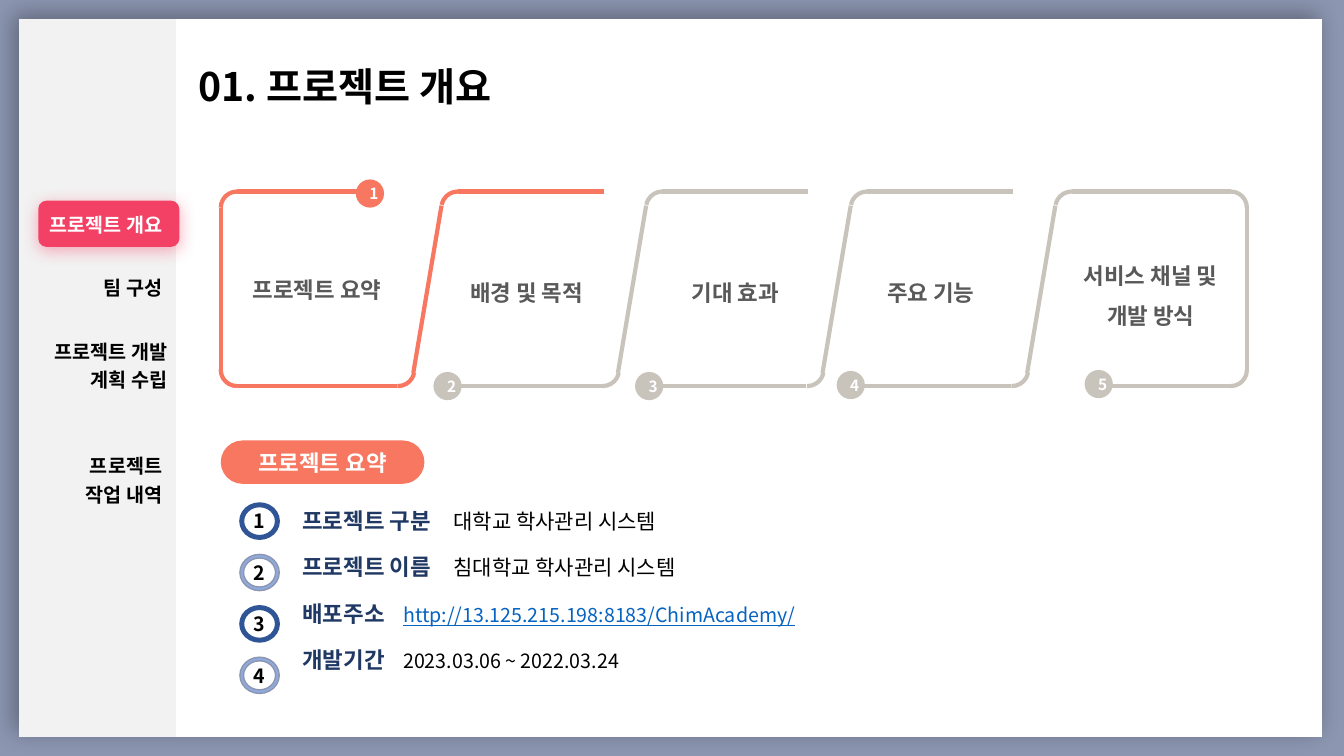
from lxml import etree
from pptx import Presentation
from pptx.dml.color import RGBColor
from pptx.enum.shapes import MSO_CONNECTOR, MSO_SHAPE
from pptx.enum.text import MSO_ANCHOR, MSO_AUTO_SIZE, PP_ALIGN
from pptx.oxml.ns import qn
from pptx.util import Inches, Pt

LEFT, CENTER, RIGHT = PP_ALIGN.LEFT, PP_ALIGN.CENTER, PP_ALIGN.RIGHT
TOP, MIDDLE = MSO_ANCHOR.TOP, MSO_ANCHOR.MIDDLE
FIXED = MSO_AUTO_SIZE.NONE
STRAIGHT = MSO_CONNECTOR.STRAIGHT
RECT, ROUNDED = MSO_SHAPE.RECTANGLE, MSO_SHAPE.ROUNDED_RECTANGLE
OVAL, DONUT, ARC = MSO_SHAPE.OVAL, MSO_SHAPE.DONUT, MSO_SHAPE.ARC

BACKDROP = RGBColor(0x8C, 0x96, 0xB1)
SIDEBAR = RGBColor(0xF2, 0xF2, 0xF2)
WHITE = RGBColor(0xFF, 0xFF, 0xFF)
BLACK = RGBColor(0x00, 0x00, 0x00)
PINK = RGBColor(0xF3, 0x41, 0x65)
CORAL = RGBColor(0xF7, 0x77, 0x60)
STONE = RGBColor(0xC9, 0xC4, 0xBB)
GRAY = RGBColor(0x59, 0x59, 0x59)
NAVY = RGBColor(0x20, 0x38, 0x64)
BLUE = RGBColor(0x2F, 0x55, 0x97)
PALE_BLUE = RGBColor(0x8F, 0xAA, 0xDC)
LINK = RGBColor(0x05, 0x63, 0xC1)

FONT = "Noto Sans CJK KR"
PLAIN_TABLE = "{2D5ABB26-0587-4C30-8999-92F81FD0307C}"
CELL = 0.1
ROUND, SLANTED = (162, 1.2), (168, 1.4)
CORNER = 3.2


def grid(*cells):
    return [Inches(CELL * cell) for cell in cells]


class Deck:
    def __init__(self, columns, rows):
        self.prs = Presentation()
        self.prs.slide_width, self.prs.slide_height = grid(columns, rows)
        self.slide = self.prs.slides.add_slide(self.prs.slide_layouts[1])
        self.slide.background.fill.solid()
        self.slide.background.fill.fore_color.rgb = BACKDROP

    def run(self, paragraph, text, size, color, bold=True, underline=None):
        run = paragraph.add_run()
        run.text = text
        font = run.font
        font.name, font.size, font.bold = FONT, Pt(size), bold
        font.underline = underline
        font.color.rgb = color
        etree.SubElement(run._r.rPr, qn("a:ea")).set("typeface", FONT)

    def add_lines(self, frame, lines, size, color, align=CENTER, spacing=None):
        for index, line in enumerate(lines):
            paragraph = frame.add_paragraph() if index else frame.paragraphs[0]
            paragraph.alignment = align
            paragraph.line_spacing = spacing
            self.run(paragraph, line, size, color)

    def place(self, holder, area, anchor):
        holder.left, holder.top, holder.width, holder.height = grid(*area)
        frame = holder.text_frame
        frame.auto_size, frame.word_wrap = FIXED, True
        frame.vertical_anchor = anchor
        return frame

    def title(self, text, area):
        frame = self.place(self.slide.shapes.title, area, MIDDLE)
        self.add_lines(frame, [text], 28, BLACK, LEFT)

    def details(self, entries, area):
        frame = self.place(self.slide.placeholders[1], area, TOP)
        for index, (label, stop, value, size, color, underline) in enumerate(entries):
            paragraph = frame.add_paragraph() if index else frame.paragraphs[0]
            paragraph.space_before, paragraph.space_after = Pt(0), Pt(14)
            self.run(paragraph, label + "\t", 16, NAVY)
            self.run(paragraph, value, size, color, False, underline)
            props = paragraph._p.get_or_add_pPr()
            props.set("marL", "0")
            props.set("indent", "0")
            etree.SubElement(props, qn("a:buNone"))
            tabs = etree.SubElement(props, qn("a:tabLst"))
            etree.SubElement(tabs, qn("a:tab"), pos=str(grid(stop)[0]), algn="l")

    def caption(self, lines, area):
        box = self.slide.shapes.add_textbox(*grid(*area))
        box.text_frame.word_wrap = True
        self.add_lines(box.text_frame, lines, 16, GRAY, spacing=1.5)

    def shape(self, kind, area, fill=None, line=None, weight=1, adjust=()):
        shape = self.slide.shapes.add_shape(kind, *grid(*area))
        shape.shadow.inherit = False
        for index, value in enumerate(adjust):
            shape.adjustments[index] = value
        if fill is None:
            shape.fill.background()
        else:
            shape.fill.solid()
            shape.fill.fore_color.rgb = fill
        if line is None:
            shape.line.fill.background()
        else:
            shape.line.color.rgb = line
            shape.line.width = Pt(weight)
        return shape

    def label(self, shape, text, size, color, shift=0):
        frame = shape.text_frame
        frame.word_wrap = False
        frame.margin_right = frame.margin_top = frame.margin_bottom = 0
        frame.margin_left = grid(shift)[0]
        frame.vertical_anchor = MIDDLE
        self.add_lines(frame, [text], size, color)

    def shadow(self, shape, color, alpha, blur, distance, angle):
        effects = shape.element.spPr.find(qn("a:effectLst"))
        outer = etree.SubElement(
            effects, qn("a:outerShdw"), blurRad=str(Pt(blur)),
            dist=str(Pt(distance)), dir=str(angle * 60000), rotWithShape="0")
        tint = etree.SubElement(outer, qn("a:srgbClr"), val=str(color))
        etree.SubElement(tint, qn("a:alpha"), val=str(alpha * 1000))

    def page(self, area):
        page = self.shape(RECT, area, WHITE)
        page.fill.gradient()
        page.fill.gradient_angle = 0
        for stop, color in zip(page.fill.gradient_stops, (SIDEBAR, WHITE)):
            stop.color.rgb, stop.position = color, 0.12
        self.shadow(page, BLACK, 31, 17, 5, 225)
        page.element.getparent().insert(2, page.element)

    def line(self, x1, y1, x2, y2, color):
        line = self.slide.shapes.add_connector(STRAIGHT, *grid(x1, y1, x2, y2))
        line.line.color.rgb, line.line.width = color, Pt(3)
        etree.SubElement(line._element.spPr, qn("a:effectLst"))

    def corner(self, x, y, rotation, color, sweep):
        arc = self.shape(ARC, (x, y, CORNER, CORNER), None, color, 3, sweep)
        arc.rotation = rotation

    def menu(self, area, heights, entries):
        menu = self.slide.shapes.add_table(len(heights), 1, *grid(*area)).table
        menu.first_row = menu.horz_banding = False
        menu._tbl.tblPr.find(qn("a:tableStyleId")).text = PLAIN_TABLE
        for index, height in enumerate(heights):
            menu.rows[index].height = grid(height)[0]
            cell = menu.cell(index, 0)
            cell.fill.background()
            cell.vertical_anchor = MIDDLE
            if index in entries:
                lines, color, align, margin = entries[index]
                cell.margin_right = grid(margin)[0]
                self.add_lines(cell.text_frame, lines, 14, color, align)


def main():
    deck = Deck(133.33, 75)
    deck.page((1.9, 1.9, 129.3, 71.2))
    deck.title("01. 프로젝트 개요", (18.7, 5.7, 83.5, 5.7))

    current = deck.shape(ROUNDED, (3.8, 19.9, 14, 4.6), PINK, adjust=[0.18])
    deck.shadow(current, PINK, 41, 12, 3, 90)
    deck.menu((3.3, 14.4, 14.4, 61.1), [4.7, 6.2, 6.3, 9.2, 13.6] + [5.27] * 4, {
        1: (["프로젝트 개요"], WHITE, CENTER, 1),
        2: (["팀 구성"], BLACK, RIGHT, 1.6),
        3: (["프로젝트 개발 계획 수립"], BLACK, RIGHT, 1.1),
        4: (["프로젝트", "작업 내역"], BLACK, RIGHT, 1.6),
    })

    left, right, top, bottom, pitch = 21.9, 123.7, 19, 38.3, 20.3
    half, low = CORNER / 2, bottom - CORNER
    deck.corner(left, top, 270, CORAL, ROUND)
    deck.line(left + half, top, 36.1, top, CORAL)
    deck.line(left, top + half, left, bottom - half, CORAL)
    deck.corner(left, low, 180, CORAL, ROUND)
    for step, color in enumerate((CORAL, STONE, STONE, STONE)):
        start = left + step * pitch
        following = start + pitch + 1.6
        deck.line(start + half, bottom, start + 17.5, bottom, color)
        deck.corner(start + 16, low, 90, color, SLANTED)
        deck.line(start + 19.1, bottom - 1.3, following, top + 1.4, color)
        deck.corner(following, top, 270, color, SLANTED)
        end = following + 16.1 if step < 3 else right - half
        deck.line(following + half, top, end, top, color)
    deck.corner(right - CORNER, top, 0, STONE, ROUND)
    deck.line(right, top + half, right, bottom - half, STONE)
    deck.corner(right - CORNER, low, 90, STONE, ROUND)
    deck.line(109.5, bottom, right - half, bottom, STONE)

    steps = [
        (["프로젝트 요약"], 22.5, 25.6, 35.3, 17.8, CORAL),
        (["배경 및 목적"], 43.3, 25.9, 43, 36.9, STONE),
        (["기대 효과"], 64, 25.9, 63, 36.9, STONE),
        (["주요 기능"], 83.4, 25.9, 83, 36.8, STONE),
        (["서비스 채널 및", "개발 방식"], 105.2, 24.2, 107.6, 36.7, STONE),
    ]
    for number, (lines, x, y, badge_x, badge_y, color) in enumerate(steps, 1):
        deck.caption(lines, (x, y, 17.9, 4.6 if len(lines) == 1 else 8.6))
        badge = deck.shape(OVAL, (badge_x, badge_y, 2.8, 2.8), color)
        deck.label(badge, str(number), 11, WHITE, 0.8)

    heading = deck.shape(ROUNDED, (left, 43.7, 20.2, 4.3), CORAL, adjust=[0.5])
    deck.label(heading, "프로젝트 요약", 16, WHITE)
    for index, (fill, edge) in enumerate([(BLUE, BLUE), (PALE_BLUE, BACKDROP)] * 2):
        ring = deck.shape(DONUT, (23.8, 49.9 + 5.1 * index, 3.9, 3.6), fill, edge,
                          adjust=[0.1])
        deck.label(ring, str(index + 1), 14, BLACK)
    deck.details([
        ("프로젝트 구분", 14.7, "대학교 학사관리 시스템", 15, BLACK, None),
        ("프로젝트 이름", 14.7, "침대학교 학사관리 시스템", 15, BLACK, None),
        ("배포주소", 13.7, "http://13.125.215.198:8183/ChimAcademy/", 14, LINK, True),
        ("개발기간", 16.2, "2023.03.06 ~ 2022.03.24", 14, BLACK, None),
    ], (29, 49.8, 68.3, 19.5))
    deck.prs.save("out.pptx")


if __name__ == "__main__":
    main()
